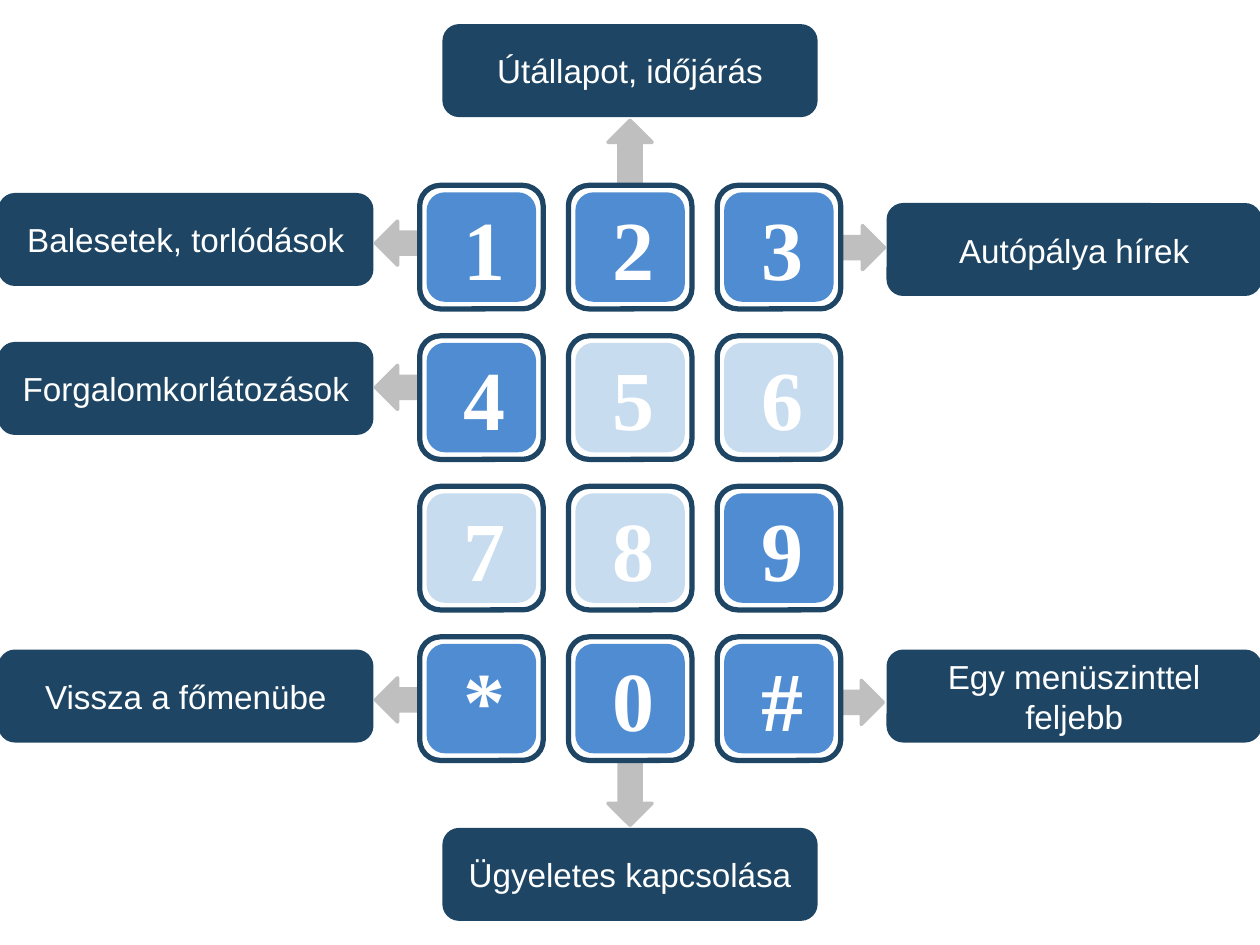
from pptx import Presentation
from pptx.dml.color import RGBColor
from pptx.enum import shapes, text
from pptx.util import Pt

NAVY, BLUE, PALE, GREY, WHITE = "1E4664", "508CD2", "C8DCF0", "BFBFBF", "FFFFFF"
KIND = shapes.MSO_SHAPE


def paint(color, code):
    color.rgb = RGBColor.from_string(code)


def shape(parent, kind, box, fill, line=None, width=2):
    item = parent.add_shape(kind, *[Pt(v) for v in box])
    item.shadow.inherit = False
    item.fill.solid()
    paint(item.fill.fore_color, fill)
    if line:
        paint(item.line.color, line)
        item.line.width = Pt(width)
    else:
        item.line.fill.background()
    return item


def write(frame, runs):
    frame.word_wrap = True
    para = frame.paragraphs[0]
    para.alignment = text.PP_ALIGN.CENTER
    for words, size, face, bold in runs:
        run = para.add_run()
        run.text = words
        run.font.size = Pt(size)
        run.font.name = face
        run.font.bold = bold
        paint(run.font.color, WHITE)


def arrow(parent, left, top, turn):
    item = shape(parent, KIND.UP_ARROW, (left, top, 25.2, 36.7), GREY, GREY)
    item.rotation = turn


def key(parent, left, top, sign, fill):
    group = parent.add_group_shape().shapes
    shape(group, KIND.ROUNDED_RECTANGLE, (left, top, 70.6, 70.6), WHITE, NAVY, 3)
    shape(group, KIND.ROUNDED_RECTANGLE, (left + 4, top + 4, 62.6, 62.6), fill)
    box = group.add_textbox(Pt(left + 18), Pt(top + 2.6), Pt(33.8), Pt(65.5))
    write(box.text_frame, [(sign, 48, "Times New Roman", True)])
    box.text_frame.auto_size = text.MSO_AUTO_SIZE.SHAPE_TO_FIT_TEXT


def keypad(parent, left, top):
    for row, signs in enumerate(("123", "456", "789", "*0#")):
        for col, sign in enumerate(signs):
            fill = PALE if sign in "5678" else BLUE
            key(parent, left + 85 * col, top + 86 * row, sign, fill)


def label(parent, left, top, runs):
    box = (left, top, 212.4, 51.1)
    item = shape(parent, KIND.ROUNDED_RECTANGLE, box, NAVY, NAVY)
    item.text_frame.vertical_anchor = text.MSO_ANCHOR.MIDDLE
    write(item.text_frame, runs)


def plain(words):
    return (words, 19, "Arial", False)


deck = Presentation()
deck.slide_width, deck.slide_height = Pt(720), Pt(540)
tree = deck.slides.add_slide(deck.slide_layouts[6]).shapes

# Arrows behind the keys
for spot in ((473.8, 383, 90), (474.5, 123.1, 90), (220.3, 381.6, 270),
             (220.3, 203, 270), (220.3, 120.6, 270), (347.4, 434.9, 180),
             (347.4, 68.7, 0)):
    arrow(tree, *spot)

# Keys
keypad(tree, 239.8, 105.9)

# Menu labels
LEFT, MID, RIGHT = 0, 253.8, 507.6
for left, top, runs in (
    (MID, 14.8, [plain("Útállapot, időjárás")]),
    (MID, 474.1, [plain("Ügyeletes kapcsolása")]),
    (LEFT, 111.3, [plain("Balesetek, torlódások")]),
    (RIGHT, 117, [plain("Autópálya"), (" ", 20, "Times New Roman", True),
                  plain("hírek")]),
    (RIGHT, 372.2, [plain("Egy menüszinttel feljebb")]),
    (LEFT, 196.4, [plain("Forgalomkorlátozások")]),
    (LEFT, 372.2, [plain("Vissza a főmenübe")]),
):
    label(tree, left, top, runs)

deck.save("out.pptx")
